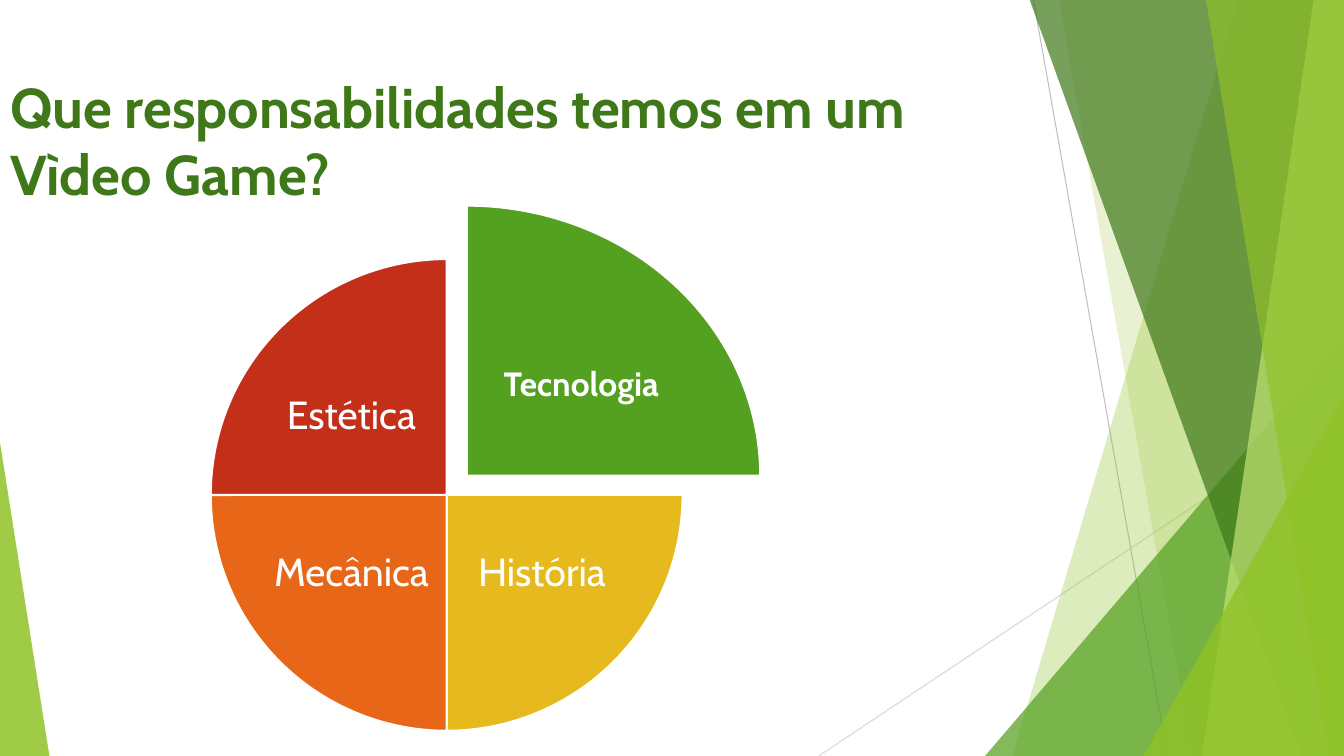
from lxml import etree
from pptx import Presentation
from pptx import util as u
from pptx.dml.color import RGBColor
from pptx.enum import shapes, text
from pptx.oxml import ns

FONT = "Cabin"
WHITE = "FFFFFF"
LIME = "90C226"
GREEN = "54A021"
DARK_GREEN = "3F7819"


def paint(target, color, opacity=100):
    target.solid()
    target.fore_color.rgb = RGBColor.from_string(color)
    if opacity < 100:
        solid = target._xPr.find(ns.qn("a:solidFill"))
        alpha = etree.SubElement(solid[0], ns.qn("a:alpha"))
        alpha.set("val", str(opacity * 1000))


def write(paragraph, words, size, color, bold=False):
    run = paragraph.add_run()
    run.text = words
    run.font.name = FONT
    run.font.size = u.Pt(size)
    run.font.bold = bold
    run.font.color.rgb = RGBColor.from_string(color)


def add_ray(slide, start, end, color):
    ray = slide.shapes.add_connector(
        shapes.MSO_CONNECTOR.STRAIGHT, *map(u.Inches, start + end))
    ray.line.width = u.Pt(0.75)
    paint(ray.line.fill, color)
    etree.SubElement(ray._element.spPr, ns.qn("a:effectLst"))


def add_shard(slide, right, top, bottom, top_reach, bottom_reach, color, opacity):
    corners = [(right - top_reach, top), (right, top),
               (right, bottom), (right - bottom_reach, bottom)]
    corners = [(u.Inches(x), u.Inches(y)) for x, y in corners]
    builder = slide.shapes.build_freeform(*corners[0])
    builder.add_line_segments(corners[1:], close=True)
    shard = builder.convert_to_shape()
    finish_facet(shard, color, opacity)


def add_corner(slide, left, bottom, width, height, apex, color, opacity):
    corner = slide.shapes.add_shape(
        shapes.MSO_SHAPE.ISOSCELES_TRIANGLE,
        *map(u.Inches, (left, bottom - height, width, height)))
    corner.adjustments[0] = apex
    finish_facet(corner, color, opacity)


def finish_facet(facet, color, opacity):
    facet.shadow.inherit = False
    paint(facet.fill, color, opacity)
    facet.line.fill.background()


def add_facets(slide, left, top, width, height):
    right, bottom = left + width, top + height
    add_ray(slide, (right - 3.08, top), (right - 1.75, bottom), "BFBFBF")
    add_ray(slide, (right, bottom - 3.47), (right - 5.21, bottom), "D9D9D9")

    def shards(*rows):
        for row in rows:
            add_shard(slide, right, top - 0.01, bottom, *row)

    shards((1.05, 3.29, LIME, 30), (2.83, 1.5, LIME, 20))
    add_corner(slide, right - 3.56, bottom, 3.56, 4.17, 1, GREEN, 72)
    shards((3.12, 0.42, DARK_GREEN, 70), (0.3, 1.41, "C0E474", 70),
           (1.37, 0.15, LIME, 65))
    add_corner(slide, right - 1.99, bottom, 1.99, 3.57, 1, LIME, 80)
    add_corner(slide, left, bottom, 0.49, 3.11, 0, LIME, 85)


def add_heading(slide, left, top, width, height):
    heading = slide.shapes.title
    heading.left, heading.top = u.Inches(left), u.Inches(top)
    heading.width, heading.height = u.Inches(width), u.Inches(height)
    frame = heading.text_frame
    frame.word_wrap = True
    frame.auto_size = text.MSO_AUTO_SIZE.NONE
    frame.vertical_anchor = text.MSO_ANCHOR.TOP
    question = frame.paragraphs[0]
    question.alignment = text.PP_ALIGN.LEFT
    write(question, "Que responsabilidades temos em um Vìdeo Game?",
          40, DARK_GREEN, True)


def add_slice(slide, box, start, color):
    wedge = slide.shapes.add_shape(shapes.MSO_SHAPE.PIE, *map(u.Inches, box))
    wedge.adjustments[0] = start
    wedge.adjustments[1] = (start + 54) % 216
    wedge.shadow.inherit = False
    paint(wedge.fill, color)
    paint(wedge.line.fill, WHITE)
    wedge.line.width = u.Pt(1.5)


def add_label(slide, box, words, size, bold):
    label = slide.shapes.add_textbox(*map(u.Inches, box))
    frame = label.text_frame
    frame.word_wrap = True
    frame.vertical_anchor = text.MSO_ANCHOR.MIDDLE
    inset = u.Inches(0.03 if bold else 0.04)
    frame.margin_left = frame.margin_right = inset
    frame.margin_top = frame.margin_bottom = inset
    paragraph = frame.paragraphs[0]
    paragraph.alignment = text.PP_ALIGN.CENTER
    paragraph.line_spacing = 0.9
    write(paragraph, words, size, WHITE, bold)


def add_wheel(slide, left, top, size):
    add_slice(slide, (left - 0.37, top - 0.53, 5.82, 5.36), 162, GREEN)
    add_label(slide, (left + 2.6, top + 0.46, 2.15, 1.59), "Tecnologia", 24, True)
    pillars = [
        ("História", 0, "E6B91E", 2.42, 2.43),
        ("Mecânica", 54, "E76618", 0.53, 2.43),
        ("Estética", 108, "C42F1A", 0.53, 0.87),
    ]
    for pillar, start, color, dx, dy in pillars:
        add_slice(slide, (left, top, size, size), start, color)
        add_label(slide, (left + dx, top + dy, 1.73, 1.39), pillar, 28, False)


def main():
    deck = Presentation()
    deck.slide_width, deck.slide_height = u.Inches(13.33), u.Inches(7.5)
    slide = deck.slides.add_slide(deck.slide_layouts[5])
    add_facets(slide, 0, 0, 13.33, 7.5)
    add_heading(slide, 0, 0.67, 9.4, 1.44)
    add_wheel(slide, 2.09, 2.57, 4.68)
    deck.save("out.pptx")


if __name__ == "__main__":
    main()
